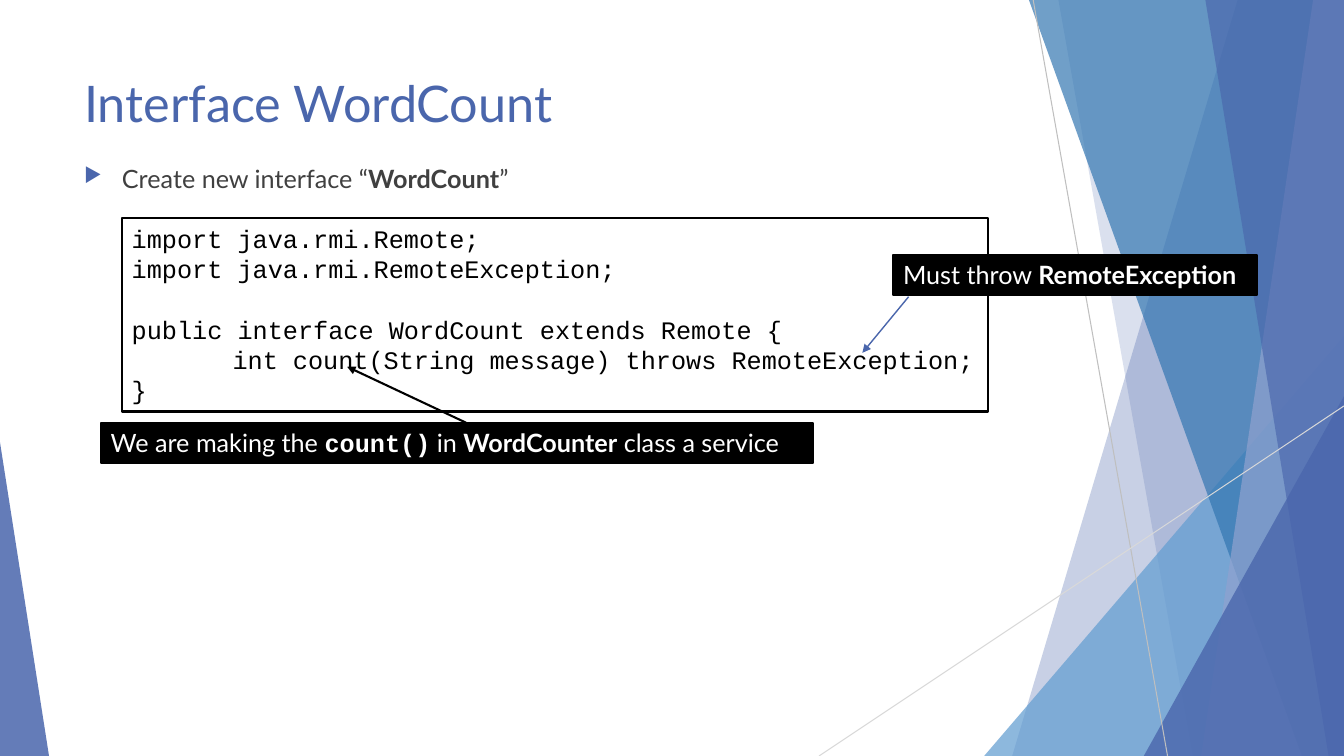
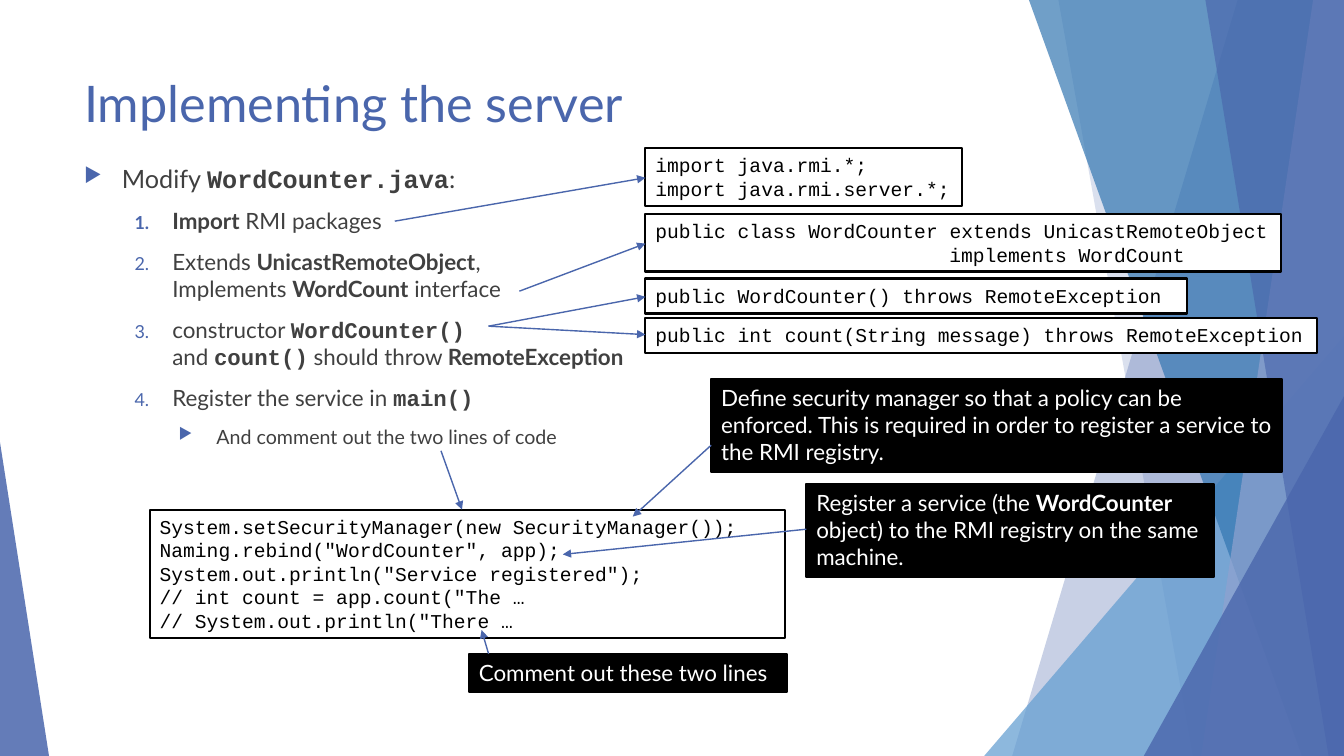
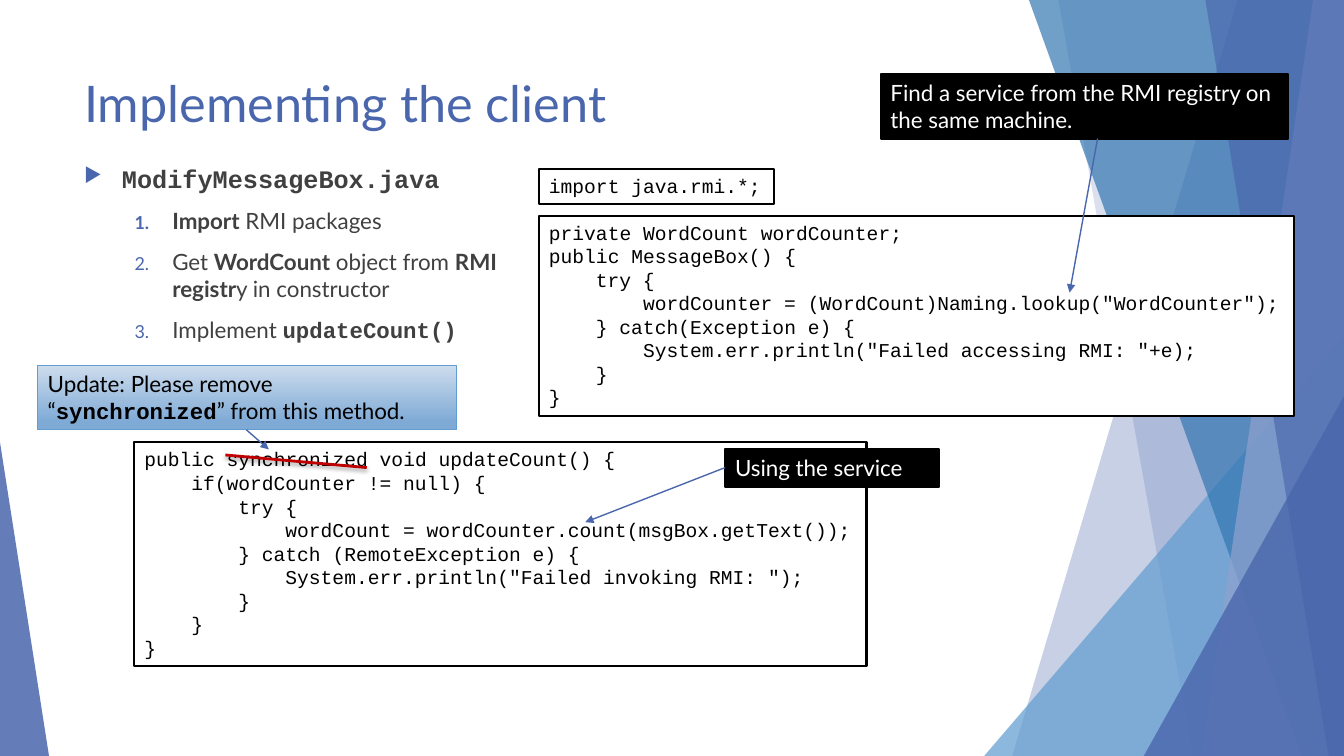
from dataclasses import dataclass

from lxml.etree import SubElement
from pptx import Presentation
from pptx.dml.color import RGBColor
from pptx.enum.shapes import MSO_CONNECTOR, MSO_SHAPE
from pptx.enum.text import MSO_ANCHOR, MSO_AUTO_SIZE, PP_ALIGN
from pptx.oxml.ns import qn
from pptx.util import Pt

WIDTH, HEIGHT = 960, 540
SANS, MONO = "Lato", "Courier New"
LINE_HEIGHT = 1.2
CHARACTER_WIDTH = 0.6
TAB_WIDTH = 72
HANGING = 27

BLACK = RGBColor(0x00, 0x00, 0x00)
WHITE = RGBColor(0xFF, 0xFF, 0xFF)
TEXT_GRAY = RGBColor(0x40, 0x40, 0x40)
RULE_GRAY = RGBColor(0xBF, 0xBF, 0xBF)
PALE_GRAY = RGBColor(0xD9, 0xD9, 0xD9)
INDIGO = RGBColor(0x4A, 0x66, 0xAC)
LAVENDER = RGBColor(0x90, 0xA2, 0xCF)
SKY = RGBColor(0x62, 0x9D, 0xD1)
STEEL = RGBColor(0x34, 0x77, 0xB2)
NOTICE_TOP = RGBColor(0xCD, 0xDC, 0xED)
NOTICE_BOTTOM = RGBColor(0x7F, 0xAA, 0xD6)
RED = RGBColor(0xC0, 0x00, 0x00)

FRAME_FORMAT = {
    "word_wrap": True,
    "auto_size": MSO_AUTO_SIZE.NONE,
    "vertical_anchor": MSO_ANCHOR.TOP,
}
# left indent, text size, numbered
LEVELS = [(27, 18, False), (63, 16, True), (94.5, 14, False)]

# top x, bottom x, colour, opacity in percent
BACK_PANELS = [(884, 723, INDIGO, 30), (756, 852, INDIGO, 20)]
FRONT_PANELS = [
    (735, 930, STEEL, 70),
    (938, 858, LAVENDER, 70),
    (861, 949, INDIGO, 65),
]


@dataclass
class Span:
    text: str
    font: str = SANS
    bold: bool = False


def bold(text):
    return Span(text, bold=True)


def code(text):
    return Span(text, MONO, True)


def set_format(target, values):
    for name, value in values.items():
        setattr(target, name, value)


def set_opacity(shape, percent):
    color = next(shape.element.spPr.iter(qn("a:srgbClr")))
    SubElement(color, qn("a:alpha"), val=str(percent * 1000))


def write(paragraph, spans, size, color):
    """Add runs; plain strings are regular sans text, a newline is a line break."""
    for item in spans:
        span = Span(item) if isinstance(item, str) else item
        for index, text in enumerate(span.text.split("\n")):
            if index:
                paragraph.add_line_break()
                SubElement(paragraph._p[-1], qn("a:rPr"), sz=str(size * 100))
            if text:
                run = paragraph.add_run()
                run.text = text
                set_format(run.font, {"name": span.font, "size": Pt(size), "bold": span.bold})
                run.font.color.rgb = color


def new_paragraph(frame, index):
    paragraph = frame.add_paragraph() if index else frame.paragraphs[0]
    paragraph.alignment = PP_ALIGN.LEFT
    return paragraph


class Deck:
    """Holds the shared style and the slide being filled."""

    def __init__(self):
        self.presentation = Presentation()
        set_format(self.presentation, {"slide_width": Pt(WIDTH), "slide_height": Pt(HEIGHT)})
        self.layout = self.presentation.slide_layouts[5]
        self.slide = None

    def add_slide(self, title):
        self.slide = self.presentation.slides.add_slide(self.layout)
        if len(self.presentation.slides) == 1:
            self.scenery()
        shape = self.slide.shapes.title
        set_format(shape, {"left": Pt(53), "top": Pt(48), "width": Pt(677), "height": Pt(58)})
        set_format(shape.text_frame, FRAME_FORMAT)
        write(new_paragraph(shape.text_frame, 0), [title], 36, INDIGO)

    def scenery(self):
        """Draw the background facets once and hand them to the layout."""
        group = self.slide.shapes.add_group_shape()
        shapes = group.shapes
        self.line((738, 0), (834, HEIGHT), RULE_GRAY, 0.75, shapes=shapes)
        self.line((WIDTH, 290), (585, HEIGHT), PALE_GRAY, 0.75, shapes=shapes)
        for panel in BACK_PANELS:
            self.panel(shapes, *panel)
        self.triangle(shapes, 703, 240, 257, 1, SKY, 72)
        for panel in FRONT_PANELS:
            self.panel(shapes, *panel)
        self.triangle(shapes, 817, 283, 143, 1, INDIGO, 80)
        self.triangle(shapes, 0, 316, 35, 0, INDIGO, 85)
        for number, properties in enumerate(group.element.iter(qn("p:cNvPr")), 100):
            properties.set("id", str(number))
        self.layout.shapes.element.append(group.element)

    def panel(self, shapes, top_x, bottom_x, color, opacity):
        """Fill the area from a slanted edge to the right side of the slide."""
        builder = shapes.build_freeform(top_x, 0, scale=Pt(1))
        builder.add_line_segments([(WIDTH, 0), (WIDTH, HEIGHT), (bottom_x, HEIGHT)])
        self.facet(builder.convert_to_shape(), color, opacity)

    def triangle(self, shapes, left, top, width, apex, color, opacity):
        shape = shapes.add_shape(
            MSO_SHAPE.ISOSCELES_TRIANGLE, Pt(left), Pt(top), Pt(width), Pt(HEIGHT - top)
        )
        shape.adjustments[0] = apex
        self.facet(shape, color, opacity)

    def facet(self, shape, color, opacity):
        shape.shadow.inherit = False
        shape.fill.solid()
        shape.fill.fore_color.rgb = color
        set_opacity(shape, opacity)
        shape.line.fill.background()

    def line(self, start, end, color=INDIGO, width=1, arrow=False, shadow=False, shapes=None):
        shapes = shapes or self.slide.shapes
        connector = shapes.add_connector(
            MSO_CONNECTOR.STRAIGHT, *(Pt(value) for value in (*start, *end))
        )
        connector.line.color.rgb = color
        connector.line.width = Pt(width)
        properties = connector.element.spPr
        if arrow:
            SubElement(properties.find(qn("a:ln")), qn("a:tailEnd"), type="triangle")
        effects = SubElement(properties, qn("a:effectLst"))
        if shadow:
            outer = SubElement(
                effects, qn("a:outerShdw"),
                blurRad=str(Pt(3)), dist=str(Pt(2)), dir="5400000", rotWithShape="0",
            )
            shade = SubElement(outer, qn("a:srgbClr"), val=str(BLACK))
            SubElement(shade, qn("a:alpha"), val="35000")

    def arrow(self, start, end, color=INDIGO, width=1):
        self.line(start, end, color, width, arrow=True)

    def box(self, place, fill, line=BLACK, line_width=1.5):
        shape = self.slide.shapes.add_shape(
            MSO_SHAPE.RECTANGLE, *(Pt(value) for value in place)
        )
        shape.shadow.inherit = False
        shape.fill.solid()
        shape.fill.fore_color.rgb = fill
        shape.line.color.rgb = line
        shape.line.width = Pt(line_width)
        set_format(shape.text_frame, FRAME_FORMAT)
        return shape

    def listing(self, place, source, size=14):
        """Show source code; leading white space becomes a paragraph indent."""
        frame = self.box(place, WHITE).text_frame
        height = size * LINE_HEIGHT
        gap = index = 0
        for row in source.strip("\n").split("\n"):
            text = row.lstrip()
            if not text:
                gap += height
                continue
            margin = row[: len(row) - len(text)]
            indent = margin.count("\t") * TAB_WIDTH
            indent += margin.count(" ") * size * CHARACTER_WIDTH
            paragraph = new_paragraph(frame, index)
            set_format(paragraph, {"line_spacing": Pt(height), "space_before": Pt(gap)})
            paragraph._p.get_or_add_pPr().set("marL", str(Pt(indent)))
            write(paragraph, [Span(text, MONO)], size, BLACK)
            gap = 0
            index += 1

    def callout(self, place, *spans, size=16):
        shape = self.box(place, BLACK)
        write(new_paragraph(shape.text_frame, 0), spans, size, WHITE)

    def notice(self, place, *spans):
        shape = self.box(place, NOTICE_TOP, SKY, 1)
        shape.fill.gradient()
        shape.fill.gradient_angle = 270
        stops = [(0, NOTICE_TOP), (0.88, NOTICE_BOTTOM)]
        for stop, (position, color) in zip(shape.fill.gradient_stops, stops):
            stop.position = position
            stop.color.rgb = color
        write(new_paragraph(shape.text_frame, 0), spans, 16, BLACK)

    def bullets(self, *items):
        """Each item is a level followed by its spans."""
        shape = self.slide.shapes.add_textbox(Pt(53), Pt(113), Pt(677), Pt(363))
        set_format(shape.text_frame, FRAME_FORMAT)
        for index, (level, *spans) in enumerate(items):
            indent, size, numbered = LEVELS[level]
            paragraph = new_paragraph(shape.text_frame, index)
            set_format(paragraph, {"level": level, "space_before": Pt(10)})
            properties = paragraph._p.get_or_add_pPr()
            properties.set("marL", str(Pt(indent)))
            properties.set("indent", str(Pt(-HANGING)))
            color = SubElement(properties, qn("a:buClr"))
            SubElement(color, qn("a:srgbClr"), val=str(INDIGO))
            SubElement(properties, qn("a:buSzPct"), val="80000")
            if numbered:
                SubElement(properties, qn("a:buAutoNum"), type="arabicPeriod")
            else:
                SubElement(properties, qn("a:buChar"), char="▶")
            write(paragraph, spans, size, TEXT_GRAY)


INTERFACE_CODE = """
import java.rmi.Remote;
import java.rmi.RemoteException;

public interface WordCount extends Remote {
\tint count(String message) throws RemoteException;
}
"""

CLASS_CODE = """
public class WordCounter extends UnicastRemoteObject
                         implements WordCount
"""

REGISTER_CODE = """
System.setSecurityManager(new SecurityManager());
Naming.rebind("WordCounter", app);
System.out.println("Service registered");
// int count = app.count("The …
// System.out.println("There …
"""

LOOKUP_CODE = """
private WordCount wordCounter;
public MessageBox() {
    try {
        wordCounter = (WordCount)Naming.lookup("WordCounter");
    } catch(Exception e) {
        System.err.println("Failed accessing RMI: "+e);
    }
}
"""

UPDATE_CODE = """
public synchronized void updateCount() {
    if(wordCounter != null) {
        try {
            wordCount = wordCounter.count(msgBox.getText());
        } catch (RemoteException e) {
            System.err.println("Failed invoking RMI: ");
        }
    }
}
"""


def add_interface_slide(deck):
    deck.add_slide("Interface WordCount")
    deck.bullets((0, "Create new interface “", bold("WordCount"), "”"))
    deck.listing((87, 156, 619, 138), INTERFACE_CODE, size=18)
    deck.callout(
        (72, 302, 509, 29),
        "We are making the ", code("count()"), " in ", bold("WordCounter"), " class a service",
        size=18,
    )
    deck.arrow((333, 302), (248, 262), BLACK, 1.5)
    deck.callout((638, 182, 260, 29), "Must throw ", bold("RemoteException"), size=18)
    deck.arrow((649, 212), (616, 252))


def add_server_slide(deck):
    deck.add_slide("Implementing the server")
    deck.bullets(
        (0, "Modify ", code("WordCounter.java"), ":"),
        (1, bold("Import"), " RMI packages"),
        (1, "Extends ", bold("UnicastRemoteObject"), ",\nImplements ",
         bold("WordCount"), " interface"),
        (1, "constructor ", code("WordCounter()\n"), "and ", code("count()"),
         " should throw ", bold("RemoteException")),
        (1, "Register the service in ", code("main()")),
        (2, "And comment out the two lines of code"),
    )
    deck.listing((461, 106, 226, 41), "import java.rmi.*;\nimport java.rmi.server.*;")
    deck.listing((461, 153, 454, 41), CLASS_CODE)
    deck.listing((107, 364, 454, 92), REGISTER_CODE)
    deck.listing((461, 199, 387, 25), "public WordCounter() throws RemoteException")
    deck.listing((461, 227, 480, 25), "public int count(String message) throws RemoteException")
    deck.callout(
        (508, 271, 408, 66),
        "Define security manager so that a policy can be enforced. "
        "This is required in order to register a service to the RMI registry.",
    )
    deck.callout(
        (576, 346, 291, 66),
        "Register a service (the ", bold("WordCounter"),
        " object) to the RMI registry on the same machine.",
    )
    deck.callout((335, 467, 227, 27), "Comment out these two lines")
    for start, end in [
        ((282, 158), (461, 127)),
        ((371, 208), (461, 174)),
        ((349, 233), (461, 212)),
        ((349, 233), (461, 239)),
        ((315, 322), (330, 364)),
        ((508, 318), (452, 369)),
        ((576, 378), (402, 396)),
        ((349, 467), (344, 450)),
    ]:
        deck.arrow(start, end)


def add_client_slide(deck):
    deck.add_slide("Implementing the client")
    deck.bullets(
        (0, code("ModifyMessageBox.java")),
        (1, bold("Import"), " RMI packages"),
        (1, "Get ", bold("WordCount"), " object from ", bold("RMI \nregistr"),
         "y in constructor"),
        (1, "Implement ", code("updateCount()")),
    )
    deck.listing((385, 121, 168, 25), "import java.rmi.*;")
    deck.listing((385, 154, 539, 143), LOOKUP_CODE)
    deck.listing((96, 316, 523, 160), UPDATE_CODE)
    deck.callout(
        (629, 53, 291, 46), "Find a service from the RMI registry on the same machine."
    )
    deck.arrow((784, 99), (764, 209))
    deck.callout((518, 321, 153, 27), "Using the service")
    deck.arrow((518, 334), (418, 373))
    deck.notice(
        (27, 261, 299, 46),
        "Update: Please remove “", code("synchronized"), "” from this method.",
    )
    deck.arrow((176, 307), (192, 321))
    deck.line((161, 325), (262, 334), RED, 2, shadow=True)


def main():
    deck = Deck()
    add_interface_slide(deck)
    add_server_slide(deck)
    add_client_slide(deck)
    deck.presentation.save("out.pptx")


if __name__ == "__main__":
    main()
